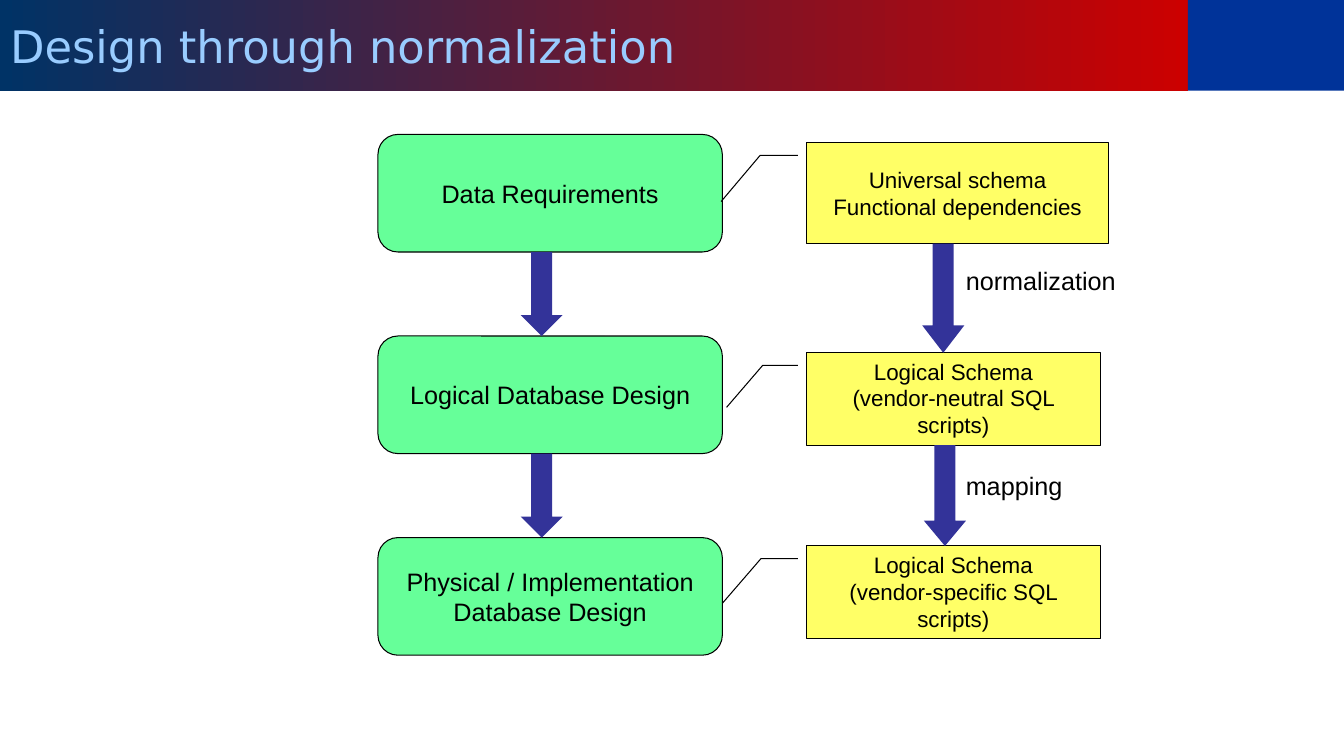
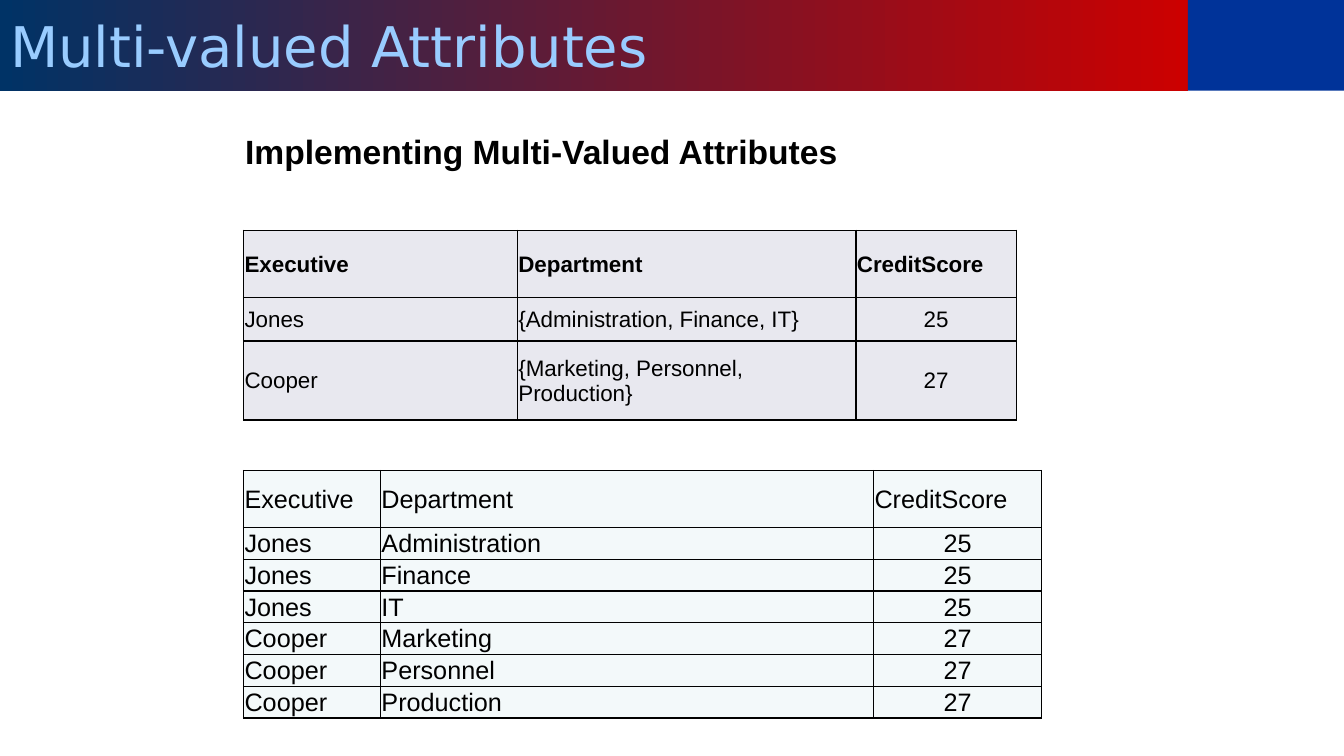
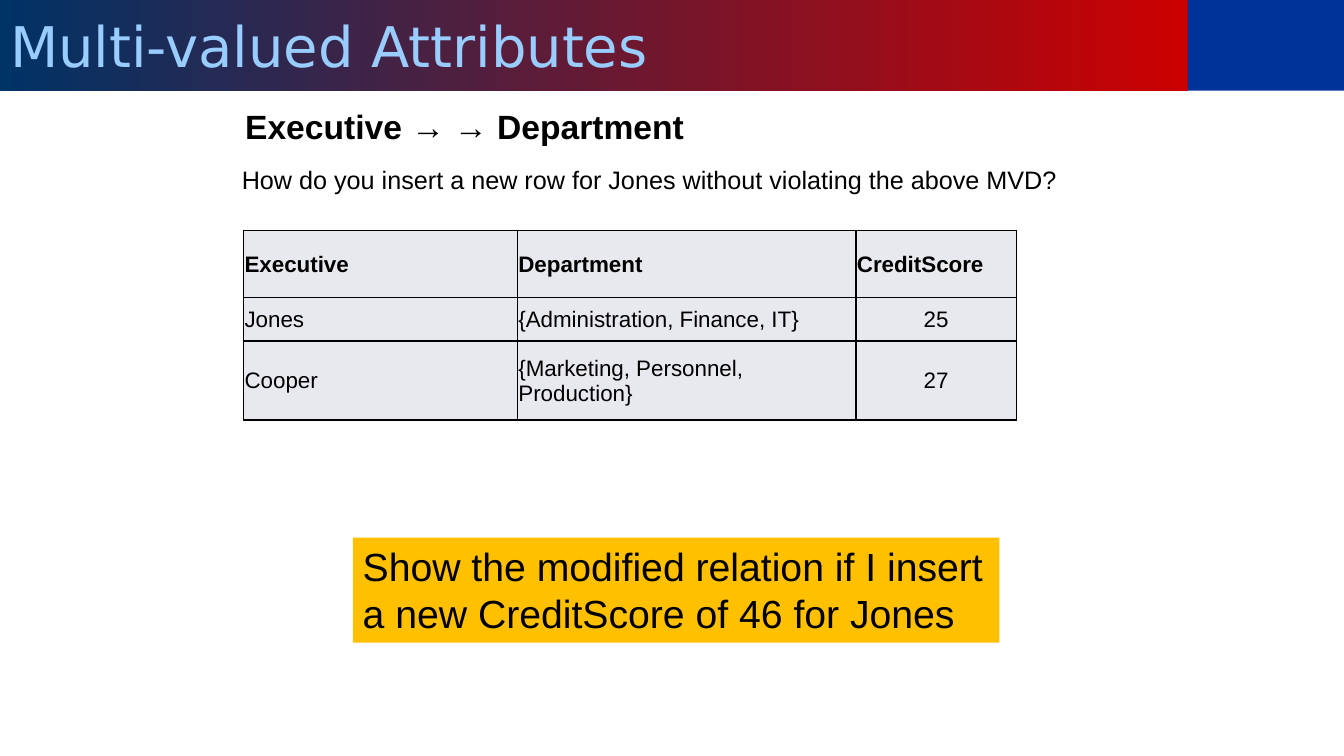
from lxml import etree
from pptx import Presentation
from pptx.dml.color import RGBColor
from pptx.enum.shapes import MSO_SHAPE
from pptx.enum.text import MSO_ANCHOR, MSO_AUTO_SIZE, PP_ALIGN
from pptx.oxml.ns import qn
from pptx.util import Emu, Pt

RECT, ROUNDED = MSO_SHAPE.RECTANGLE, MSO_SHAPE.ROUNDED_RECTANGLE
DOWN_ARROW, CALLOUT = MSO_SHAPE.DOWN_ARROW, MSO_SHAPE.LINE_CALLOUT_2
TOP, MIDDLE = MSO_ANCHOR.TOP, MSO_ANCHOR.MIDDLE
LEFT, CENTER = PP_ALIGN.LEFT, PP_ALIGN.CENTER
NO_FIT, GROW = MSO_AUTO_SIZE.NONE, MSO_AUTO_SIZE.SHAPE_TO_FIT_TEXT

COLUMNS, ROWS = 160, 90
CELL = 76200
TITLE_WIDTH, BAND_HEIGHT = 141.4, 10.8
BLACK, GREEN, YELLOW, INDIGO, AMBER = "000000", "66FF99", "FFFF66", "333399", "FFC000"
NAVY, RED, BLUE, SKY = "003366", "CC0000", "003399", "99CCFF"
LAVENDER, MINT = "E8E8EF", "F3F9FA"


def color(value):
    return RGBColor.from_string(value)


def grid(*lengths):
    return [Emu(round(length * CELL)) for length in lengths]


def apply(target, **values):
    for name, value in values.items():
        setattr(target, name, value)


class Deck:
    def __init__(self):
        self.presentation = Presentation()
        width, height = grid(COLUMNS, ROWS)
        apply(self.presentation, slide_width=width, slide_height=height)
        self.slide = None

    def start(self, title, size):
        self.slide = self.presentation.slides.add_slide(self.presentation.slide_layouts[5])
        self.shape(RECT, (TITLE_WIDTH, 0, COLUMNS - TITLE_WIDTH, BAND_HEIGHT), BLUE)
        heading = self.slide.shapes.title
        left, top, width, height = grid(0, 0, TITLE_WIDTH, BAND_HEIGHT)
        apply(heading, left=left, top=top, width=width, height=height)
        heading.fill.gradient()
        heading.fill.gradient_angle = 0
        for stop, tone in zip(heading.fill.gradient_stops, (NAVY, RED)):
            stop.color.rgb = color(tone)
        self.fill_text(heading.text_frame, title, size, tone=SKY, font="DejaVu Sans",
                       anchor=MIDDLE)

    def fill_text(self, frame, text, size, align=LEFT, anchor=TOP, wrap=True, fit=NO_FIT,
                  tone=BLACK, font="Arial", bold=False):
        frame.text = text
        apply(frame, word_wrap=wrap, auto_size=fit, vertical_anchor=anchor)
        for paragraph in frame.paragraphs:
            paragraph.alignment = align
            self.style(paragraph.font, size, tone, font, bold)

    def style(self, target, size, tone=BLACK, font="Arial", bold=False):
        apply(target, size=Pt(size), name=font, bold=bold)
        target.color.rgb = color(tone)

    def shape(self, kind, box, fill, outlined=False, adjustments=()):
        item = self.slide.shapes.add_shape(kind, *grid(*box))
        item.shadow.inherit = False
        item.fill.solid()
        item.fill.fore_color.rgb = color(fill)
        if outlined:
            item.line.color.rgb = color(BLACK)
            item.line.width = Pt(0.75)
        else:
            item.line.fill.background()
        for index, value in enumerate(adjustments):
            item.adjustments[index] = value
        return item

    def stage(self, box, text, wrap):
        item = self.shape(ROUNDED, box, GREEN, True, [0.17])
        self.fill_text(item.text_frame, text, 18, CENTER, MIDDLE, wrap)

    def callout(self, box, text, anchor, elbow, end, drop):
        width, height = box[2:]
        points = [(-1, 1.5), (-elbow, 1.5), (-end, drop)]
        leader = [share for x, y in points for share in (y / height, x / width)]
        item = self.shape(CALLOUT, box, YELLOW, True, leader)
        self.fill_text(item.text_frame, text, 16, CENTER, anchor)

    def arrow(self, left, top, length, width=5):
        self.shape(DOWN_ARROW, (left, top, width, length), INDIGO,
                   adjustments=[0.5, length / width / 4])

    def label(self, box, text, size=18, bold=False):
        item = self.slide.shapes.add_textbox(*grid(*box))
        self.fill_text(item.text_frame, text, size, wrap=False, fit=GROW, bold=bold)

    def note(self, box, text):
        item = self.shape(RECT, box, AMBER)
        self.fill_text(item.text_frame, text, 28, fit=GROW)

    def table(self, left, top, widths, heights, records, fill, size, bold_header):
        box = grid(left, top, sum(widths), sum(heights))
        table = self.slide.shapes.add_table(len(records), len(widths), *box).table
        table.horz_banding = False
        for column, width in zip(table.columns, grid(*widths)):
            column.width = width
        for row, height in zip(table.rows, grid(*heights)):
            row.height = height
        for index, record in enumerate(records):
            for cell, text in zip(table.rows[index].cells, record):
                self.cell(cell, text, fill, size, bold_header and index == 0)

    def cell(self, cell, text, fill, size, bold):
        cell.text = text
        side, bottom = grid(0.12, 0)
        apply(cell, vertical_anchor=MIDDLE, margin_left=side, margin_right=side,
              margin_top=side, margin_bottom=bottom)
        cell.fill.solid()
        cell.fill.fore_color.rgb = color(fill)
        paragraph = cell.text_frame.paragraphs[0]
        paragraph.alignment = CENTER if text.isdigit() else LEFT
        self.style(paragraph.font, size, bold=bold)
        properties = cell._tc.get_or_add_tcPr()
        for index, edge in enumerate(("a:lnL", "a:lnR", "a:lnT", "a:lnB")):
            border = etree.Element(qn(edge), w=str(Pt(1)))
            solid = etree.SubElement(border, qn("a:solidFill"))
            etree.SubElement(solid, qn("a:srgbClr"), val=BLACK)
            properties.insert(index, border)


HEADER = ("Executive", "Department", "CreditScore")
EXECUTIVES = [
    ("Jones", ("Administration", "Finance", "IT"), "25"),
    ("Cooper", ("Marketing", "Personnel", "Production"), "27"),
]


def nested_table(deck):
    records = [(name, "{" + ", ".join(units) + "}", score) for name, units, score in EXECUTIVES]
    deck.table(29, 27.4, (32.6, 40.3, 19.1), (8, 5.2, 9.4), [HEADER] + records,
               LAVENDER, 16, True)


def flat_table(deck):
    records = [(name, unit, score) for name, units, score in EXECUTIVES for unit in units]
    deck.table(29, 56, (16.3, 58.7, 20), [6.8] + [3.78] * len(records), [HEADER] + records,
               MINT, 18, False)


def design_slide(deck):
    deck.start("Design through normalization", 32)
    stages = [
        ("Data Requirements", False),
        ("Logical Database Design", False),
        ("Physical / Implementation Database Design", True),
    ]
    first, step, height = 16, 24, 14
    for index, (text, wrap) in enumerate(stages):
        deck.stage((45, first + index * step, 41, height), text, wrap)
    callouts = [
        ((96, 17, 36, 12), "Universal schema\nFunctional dependencies", MIDDLE, 5.5, 10.15, 7),
        ((96, 42, 35, 11), "Logical Schema\n(vendor-neutral SQL scripts)", TOP, 5.2, 9.5, 6.5),
        ((96, 65, 35, 11), "Logical Schema\n(vendor-specific SQL scripts)", TOP, 5.4, 10, 6.83),
    ]
    for callout in callouts:
        deck.callout(*callout)
    for index in range(len(stages) - 1):
        deck.arrow(62, first + height + index * step, step - height)
    deck.arrow(109.8, 29, 13)
    deck.arrow(110, 53, 12)
    deck.label((113.8, 31, 20.3, 4.8), "normalization")
    deck.label((113.8, 55.4, 13.9, 4.8), "mapping")


def implementing_slide(deck):
    deck.start("Multi-valued Attributes", 40)
    nested_table(deck)
    flat_table(deck)
    deck.label((28, 15, 73.6, 6.1), "Implementing Multi-Valued Attributes", 24, True)


def insertion_slide(deck):
    deck.start("Multi-valued Attributes", 40)
    nested_table(deck)
    deck.label((28, 12, 55.1, 6.1), "Executive → → Department", 24, True)
    deck.label((27.6, 19, 100.4, 4.8),
               "How do you insert a new row for Jones without violating the above MVD?")
    deck.note((42, 64, 77, 12.5),
              "Show the modified relation if I insert a new CreditScore of 46 for Jones")


def main():
    deck = Deck()
    for build in (design_slide, implementing_slide, insertion_slide):
        build(deck)
    deck.presentation.save("out.pptx")


if __name__ == "__main__":
    main()
